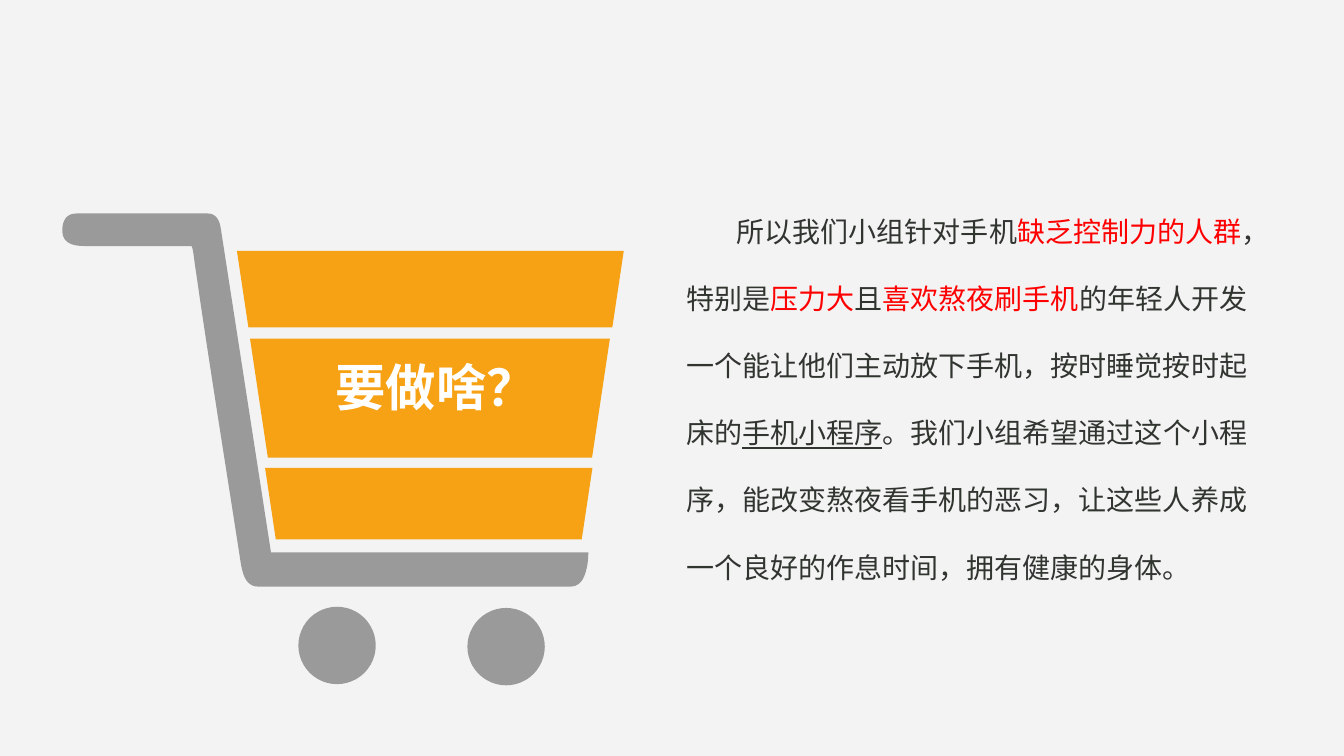
from dataclasses import dataclass

from lxml import etree
from pptx import Presentation
from pptx.dml.color import RGBColor
from pptx.enum.shapes import MSO_SHAPE
from pptx.enum.text import MSO_ANCHOR, MSO_AUTO_SIZE, PP_ALIGN
from pptx.oxml.ns import qn
from pptx.util import Cm, Pt

TRAPEZOID, OVAL = MSO_SHAPE.TRAPEZOID, MSO_SHAPE.OVAL
TOP, LEFT, NO_AUTOFIT = MSO_ANCHOR.TOP, PP_ALIGN.LEFT, MSO_AUTO_SIZE.NONE


@dataclass(frozen=True)
class Theme:
    background = RGBColor(0xF3, 0xF3, 0xF3)
    basket = RGBColor(0xF7, 0xA1, 0x15)
    frame = RGBColor(0x9A, 0x9A, 0x9A)
    text = RGBColor(0x31, 0x35, 0x30)
    highlight = RGBColor(0xFF, 0x00, 0x00)
    white = RGBColor(0xFF, 0xFF, 0xFF)
    font = "Noto Sans CJK SC"
    title_size = Pt(36)
    body_size = Pt(20)


theme = Theme()


def paint(shape, color):
    shape.shadow.inherit = False
    shape.fill.solid()
    shape.fill.fore_color.rgb = color
    shape.line.fill.background()


def format_text(placeholder, box, size, color):
    """Place a one-paragraph placeholder and set its font for Latin and Chinese."""
    placeholder.left, placeholder.top, placeholder.width, placeholder.height = map(Cm, box)
    frame = placeholder.text_frame
    frame.word_wrap = True
    frame.auto_size = NO_AUTOFIT
    frame.vertical_anchor = TOP
    paragraph = frame.paragraphs[0]
    paragraph.alignment = LEFT
    paragraph.space_before = Pt(0)
    paragraph.font.size = size
    paragraph.font.color.rgb = color
    paragraph.font.name = theme.font
    defaults = paragraph._p.pPr.find(qn("a:defRPr"))
    etree.SubElement(defaults, qn("a:ea"), typeface=theme.font)
    return paragraph


presentation = Presentation()
presentation.slide_width, presentation.slide_height = Cm(33.87), Cm(19.05)
slide = presentation.slides.add_slide(presentation.slide_layouts[1])
slide.background.fill.solid()
slide.background.fill.fore_color.rgb = theme.background

# Cart frame: one point is a straight line, three points are a Bezier curve (cm)
frame_start = (5.56, 5.72)
frame_segments = [
    [(5.51, 5.46), (5.38, 5.38), (5.23, 5.38)],
    [(1.93, 5.38)],
    [(1.73, 5.38), (1.57, 5.49), (1.57, 5.82)],
    [(1.57, 6.17), (1.93, 6.2), (2.11, 6.2)],
    [(4.83, 6.2)],
    [(4.88, 6.3), (4.9, 6.63), (4.93, 6.78)],
    [(5.28, 9.22), (5.69, 11.73), (6.07, 14.2)],
    [(6.1, 14.35), (6.12, 14.45), (6.17, 14.55)],
    [(6.22, 14.68), (6.35, 14.78), (6.48, 14.78)],
    [(14.4, 14.78)],
    [(14.53, 14.78), (14.66, 14.68), (14.71, 14.55)],
    [(14.76, 14.45), (14.78, 14.35), (14.81, 14.2)],
    [(14.83, 13.92)],
    [(6.83, 13.92)],
]
CURVE_STEPS = 8
outline = [frame_start]
for segment in frame_segments:
    if len(segment) == 1:
        outline += segment
        continue
    corners = [outline[-1], *segment]
    for step in range(1, CURVE_STEPS + 1):
        t = step / CURVE_STEPS
        weights = ((1 - t) ** 3, 3 * t * (1 - t) ** 2, 3 * t**2 * (1 - t), t**3)
        outline.append(tuple(
            sum(weight * corner[axis] for weight, corner in zip(weights, corners))
            for axis in (0, 1)))

points = [(Cm(x), Cm(y)) for x, y in outline]
builder = slide.shapes.build_freeform(*points[0])
builder.add_line_segments(points[1:], close=True)
paint(builder.convert_to_shape(), theme.frame)

WHEEL = Cm(1.95)
for left, top in [(7.52, 15.29), (11.78, 15.32)]:
    paint(slide.shapes.add_shape(OVAL, Cm(left), Cm(top), WHEEL, WHEEL), theme.frame)

basket_bands = [(5.97, 6.32, 9.75, 1.93), (6.3, 8.53, 9.07, 3), (6.68, 11.79, 8.25, 1.8)]
for box in basket_bands:
    band = slide.shapes.add_shape(TRAPEZOID, *map(Cm, box))
    band.adjustments[0] = 0.15
    band.rotation = 180
    paint(band, theme.basket)

title = slide.shapes.title
title.text_frame.text = "要做啥？"
heading = format_text(title, (8.2, 8.84, 6, 1.8), theme.title_size, theme.white)
heading.font.bold = True
title.element.getparent().append(title.element)  # in front of the basket

body = slide.placeholders[1]
paragraph = format_text(body, (16.53, 4.42, 15.75, 10.21), theme.body_size, theme.text)
paragraph.line_spacing = 2.0
properties = paragraph._p.pPr
properties.set("marL", str(Cm(0.51)))
properties.set("indent", str(Cm(1.27)))
properties.insert_element_before(
    etree.Element(qn("a:buNone")), "a:tabLst", "a:defRPr", "a:extLst")

PLAIN, RED, UNDERLINED = range(3)
body_runs = [
    ("所以我们小组针对手机", PLAIN),
    ("缺乏控制力的人群", RED),
    ("，特别是", PLAIN),
    ("压力大", RED),
    ("且", PLAIN),
    ("喜欢熬夜刷手机", RED),
    ("的年轻人开发一个能让他们主动放下手机，按时睡觉按时起床的", PLAIN),
    ("手机小程序", UNDERLINED),
    ("。我们小组希望通过这个小程序，能改变熬夜看手机的恶习，"
     "让这些人养成一个良好的作息时间，拥有健康的身体。", PLAIN),
]
for text, style in body_runs:
    run = paragraph.add_run()
    run.text = text
    if style == RED:
        run.font.color.rgb = theme.highlight
    elif style == UNDERLINED:
        run.font.underline = True

presentation.save("out.pptx")
